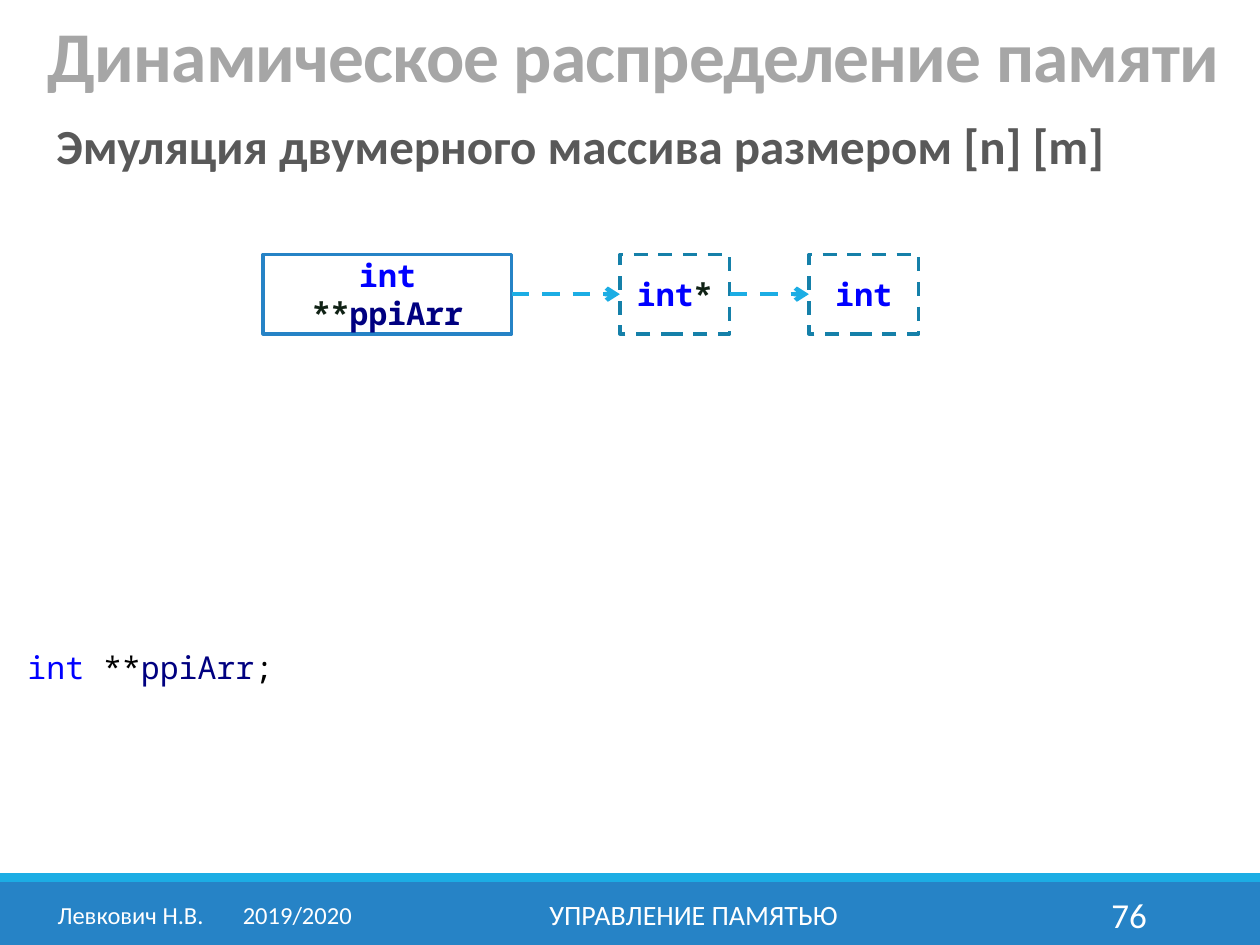
import lxml.etree
import pptx
import pptx.dml.color
import pptx.enum.dml
import pptx.enum.shapes
import pptx.enum.text
import pptx.oxml.ns
import pptx.util

Inches, Pt = pptx.util.Inches, pptx.util.Pt
RGBColor = pptx.dml.color.RGBColor
Align, Anchor = pptx.enum.text.PP_ALIGN, pptx.enum.text.MSO_ANCHOR
RECTANGLE = pptx.enum.shapes.MSO_SHAPE.RECTANGLE
DASH = pptx.enum.dml.MSO_LINE.DASH
qn = pptx.oxml.ns.qn

WHITE = RGBColor(0xFF, 0xFF, 0xFF)
BLACK = RGBColor(0x00, 0x00, 0x00)
BLUE = RGBColor(0x26, 0x83, 0xC6)
CYAN = RGBColor(0x1C, 0xAD, 0xE4)
TEAL = RGBColor(0x15, 0x80, 0xA9)
TITLE_GRAY = RGBColor(0xA6, 0xA6, 0xA6)
TEXT_GRAY = RGBColor(0x59, 0x59, 0x59)
KEYWORD = RGBColor(0x00, 0x00, 0xFF)
IDENTIFIER = RGBColor(0x00, 0x00, 0x80)
OPERATOR = RGBColor(0x10, 0x22, 0x15)


def write_runs(shape, runs, anchor, alignment, **font_format):
    """Fill the shape with one paragraph of (text, colour) runs."""
    frame = shape.text_frame
    frame.word_wrap = True
    frame.vertical_anchor = anchor
    paragraph = frame.paragraphs[0]
    paragraph.alignment = alignment
    for text, color in runs:
        run = paragraph.add_run()
        run.text = text
        for name, value in font_format.items():
            setattr(run.font, name, value)
        run.font.color.rgb = color
    return paragraph


def add_text(place, runs, anchor, alignment, **font_format):
    box = slide.shapes.add_textbox(*map(Inches, place))
    return write_runs(box, runs, anchor, alignment, **font_format)


presentation = pptx.Presentation()
presentation.slide_width = Inches(10)
presentation.slide_height = Inches(7.5)
slide = presentation.slides.add_slide(presentation.slide_layouts[6])

# Footer bands
for top, height, color in [(7, 0.5, BLUE), (6.93, 0.07, CYAN)]:
    band = slide.shapes.add_shape(RECTANGLE, 0, Inches(top), Inches(10), Inches(height))
    band.shadow.inherit = False
    band.fill.solid()
    band.fill.fore_color.rgb = color
    band.line.fill.background()

# Title and heading
title = add_text((0.28, 0.13, 9.61, 0.68), [("Динамическое распределение памяти", TITLE_GRAY)],
                 Anchor.BOTTOM, Align.LEFT, name="Calibri", size=Pt(40.8), bold=True)
title.line_spacing = 0.75
title.runs[0].font._element.set("spc", "-50")
heading = add_text((0.35, 0.92, 9.37, 0.53),
                   [("Эмуляция двумерного массива размером [n] [m]", TEXT_GRAY)],
                   Anchor.TOP, Align.LEFT, name="Calibri", size=Pt(28), bold=True)
heading.line_spacing = 0.9

# Pointer chain: left, width, line colour, line width, dash, runs
nodes = [
    (2.09, 1.97, BLUE, 2.25, None,
     [("int", KEYWORD), (" **", OPERATOR), ("ppiArr", IDENTIFIER)]),
    (4.92, 0.87, TEAL, 2, DASH, [("int", KEYWORD), ("*", OPERATOR)]),
    (6.42, 0.87, TEAL, 2, DASH, [("int", KEYWORD)]),
]
boxes = []
for left, width, color, line_width, dash, runs in nodes:
    box = slide.shapes.add_shape(RECTANGLE, Inches(left), Inches(2.02), Inches(width), Inches(0.63))
    box.shadow.inherit = False
    box.fill.background()
    box.line.color.rgb = color
    box.line.width = Pt(line_width)
    box.line.dash_style = dash
    write_runs(box, runs, Anchor.MIDDLE, Align.CENTER,
               name="Noto Sans Mono", size=Pt(18), bold=True)
    boxes.append(box)

for source, target in zip(boxes, boxes[1:]):
    arrow = slide.shapes.add_connector(pptx.enum.shapes.MSO_CONNECTOR.STRAIGHT, 0, 0, 0, 0)
    arrow.begin_connect(source, 3)
    arrow.end_connect(target, 1)
    arrow.line.color.rgb = CYAN
    arrow.line.width = Pt(2.5)
    arrow.line.dash_style = DASH
    lxml.etree.SubElement(arrow.line._get_or_add_ln(), qn("a:tailEnd"), type="arrow")
    lxml.etree.SubElement(arrow._element.spPr, qn("a:effectLst"))

# Declaration
add_text((0.12, 5.09, 5, 0.4),
         [("int", KEYWORD), (" **", BLACK), ("ppiArr", IDENTIFIER), (";", BLACK)],
         Anchor.TOP, Align.LEFT, name="Noto Sans Mono", size=Pt(18))

# Footer text
footers = [
    (0.32, 2.61, "Левкович Н.В.\t2019/2020", Align.CENTER, 14),
    (3.02, 4.97, "УПРАВЛЕНИЕ ПАМЯТЬЮ", Align.CENTER, 16),
    (8.12, 1.08, "76", Align.RIGHT, 20),
]
for left, width, text, alignment, size in footers:
    footer = add_text((left, 7.06, width, 0.4), [(text, WHITE)], Anchor.MIDDLE, alignment,
                      name="Calibri", size=Pt(size))
    if "\t" in text:
        tabs = lxml.etree.SubElement(footer._p.get_or_add_pPr(), qn("a:tabLst"))
        lxml.etree.SubElement(tabs, qn("a:tab"), pos=str(Inches(1.47)), algn="l")

presentation.save("out.pptx")
